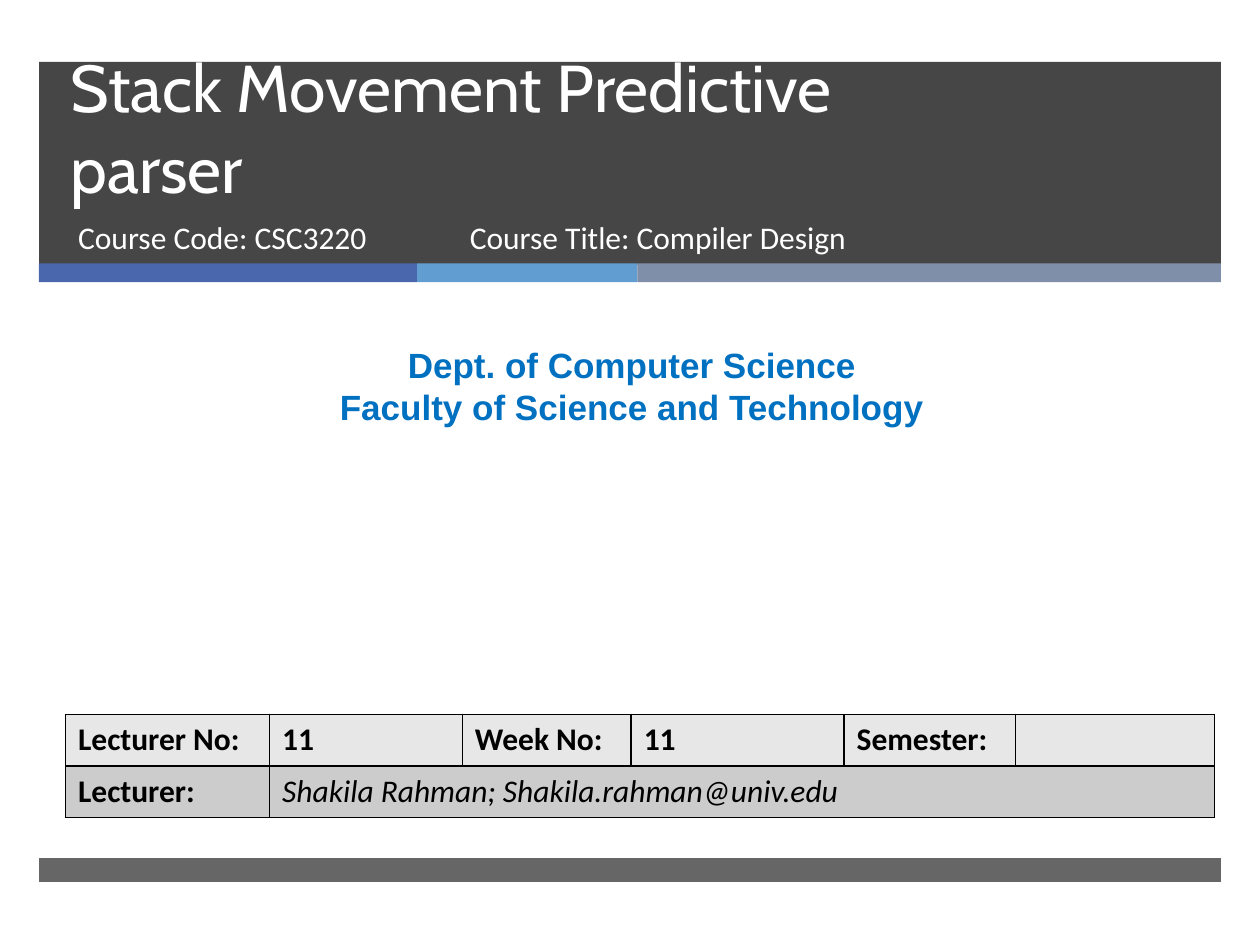
"""Build the opening slide of a compiler design lecture."""
from lxml import etree
from pptx import Presentation
from pptx.dml.color import RGBColor
from pptx.enum import shapes, text
from pptx.oxml import ns
from pptx.util import Inches, Pt

BAND_LEFT, BAND_WIDTH = 0.31, 9.38
BANDS = [
    (0.49, 1.61, [(BAND_WIDTH, "262626", 85)]),
    (2.09, 0.15, [(3, "4A66AC", 100), (1.75, "629DD1", 100), (4.63, "7F8FA9", 100)]),
    (6.81, 0.19, [(BAND_WIDTH, "262626", 70)]),
]
TITLE = ["Stack Movement Predictive ", "parser"]
COURSE_CODE = "Course Code: CSC3220"
COURSE_TITLE = "Course Title: Compiler Design"
DEPARTMENT = ["Dept. of Computer Science", "Faculty of Science and Technology"]
COLUMN_WIDTHS = [1.62, 1.53, 1.34, 1.69, 1.36, 1.58]
ROW_HEIGHT = 0.41
ROWS = [
    ("E7E7E7", ["Lecturer No:", "11", "Week No:", "11", "Semester:", ""]),
    ("CCCCCC", ["Lecturer:", "Shakila Rahman; Shakila.rahman@univ.edu", "", "", "", ""]),
]


def color(value):
    return RGBColor.from_string(value)


def place(shape, left, top, width, height):
    shape.left, shape.top = Inches(left), Inches(top)
    shape.width, shape.height = Inches(width), Inches(height)


def add_run(paragraph, content, size, font, ink, bold=False, italic=False):
    run = paragraph.add_run()
    run.text = content
    run.font.size, run.font.name = Pt(size), font
    run.font.bold, run.font.italic = bold, italic
    run.font.color.rgb = color(ink)


def set_frame(shape, anchor):
    frame = shape.text_frame
    frame.word_wrap = True
    frame.auto_size = text.MSO_AUTO_SIZE.NONE
    frame.vertical_anchor = anchor
    paragraph = frame.paragraphs[0]
    paragraph.alignment = text.PP_ALIGN.LEFT
    paragraph.space_before = Pt(0)
    return paragraph


def add_band(slide, left, top, width, height, fill, opacity):
    band = slide.shapes.add_shape(
        shapes.MSO_SHAPE.RECTANGLE, Inches(left), Inches(top), Inches(width), Inches(height))
    band.shadow.inherit = False
    band.line.fill.background()
    band.fill.solid()
    band.fill.fore_color.rgb = color(fill)
    if opacity < 100:
        value = band.fill._xPr.find(".//" + ns.qn("a:srgbClr"))
        etree.SubElement(value, ns.qn("a:alpha"), val=str(opacity * 1000))


def add_borders(cell):
    properties = cell._tc.get_or_add_tcPr()
    for index, side in enumerate(("a:lnL", "a:lnR", "a:lnT", "a:lnB")):
        line = etree.Element(ns.qn(side), w=str(Pt(1)))
        fill = etree.SubElement(line, ns.qn("a:solidFill"))
        etree.SubElement(fill, ns.qn("a:srgbClr"), val="000000")
        properties.insert(index, line)


def add_lecture_table(slide):
    frame = slide.shapes.add_table(
        len(ROWS), len(COLUMN_WIDTHS), Inches(0.52), Inches(5.67),
        Inches(sum(COLUMN_WIDTHS)), Inches(ROW_HEIGHT * len(ROWS)))
    table = frame.table
    for column, width in zip(table.columns, COLUMN_WIDTHS):
        column.width = Inches(width)
    for row_index, (fill, labels) in enumerate(ROWS):
        table.rows[row_index].height = Inches(ROW_HEIGHT)
        for column_index, label in enumerate(labels):
            cell = table.cell(row_index, column_index)
            cell.fill.solid()
            cell.fill.fore_color.rgb = color(fill)
            add_borders(cell)
            if label:
                italic = "@" in label
                add_run(cell.text_frame.paragraphs[0], label, 18, "Calibri", "000000",
                        bold=not italic, italic=italic)
    table.cell(1, 1).merge(table.cell(1, 5))


def main():
    presentation = Presentation()
    presentation.slide_width, presentation.slide_height = Inches(10), Inches(7.5)
    slide = presentation.slides.add_slide(presentation.slide_layouts[0])
    title, subtitle = slide.placeholders

    for top, height, parts in BANDS:
        left = BAND_LEFT
        for width, fill, opacity in parts:
            add_band(slide, left, top, width, height, fill, opacity)
            left += width
    for placeholder in (title, subtitle):
        slide.shapes._spTree.append(placeholder._element)

    place(title, 0.46, 0.5, 8.54, 1.19)
    paragraph = set_frame(title, text.MSO_ANCHOR.BOTTOM)
    paragraph.line_spacing = Pt(46)
    for index, line in enumerate(TITLE):
        if index:
            paragraph.add_line_break()
        add_run(paragraph, line, 37.8, "Cabin", "FFFFFF")

    place(subtitle, 0.52, 1.68, 3.05, 0.53)
    course_box = slide.shapes.add_textbox(Inches(3.63), Inches(1.68), Inches(4.55), Inches(0.53))
    for shape, content in ((subtitle, COURSE_CODE), (course_box, COURSE_TITLE)):
        add_run(set_frame(shape, text.MSO_ANCHOR.TOP), content, 18, "Calibri", "FFFFFF")

    department = slide.shapes.add_textbox(Inches(0.08), Inches(2.68), Inches(9.87), Inches(0.77))
    paragraph = set_frame(department, text.MSO_ANCHOR.TOP)
    for index, line in enumerate(DEPARTMENT):
        if index:
            paragraph = department.text_frame.add_paragraph()
        paragraph.alignment = text.PP_ALIGN.CENTER
        add_run(paragraph, line, 20, "Arial", "0070C0", bold=True)

    add_lecture_table(slide)
    presentation.save("out.pptx")


if __name__ == "__main__":
    main()
